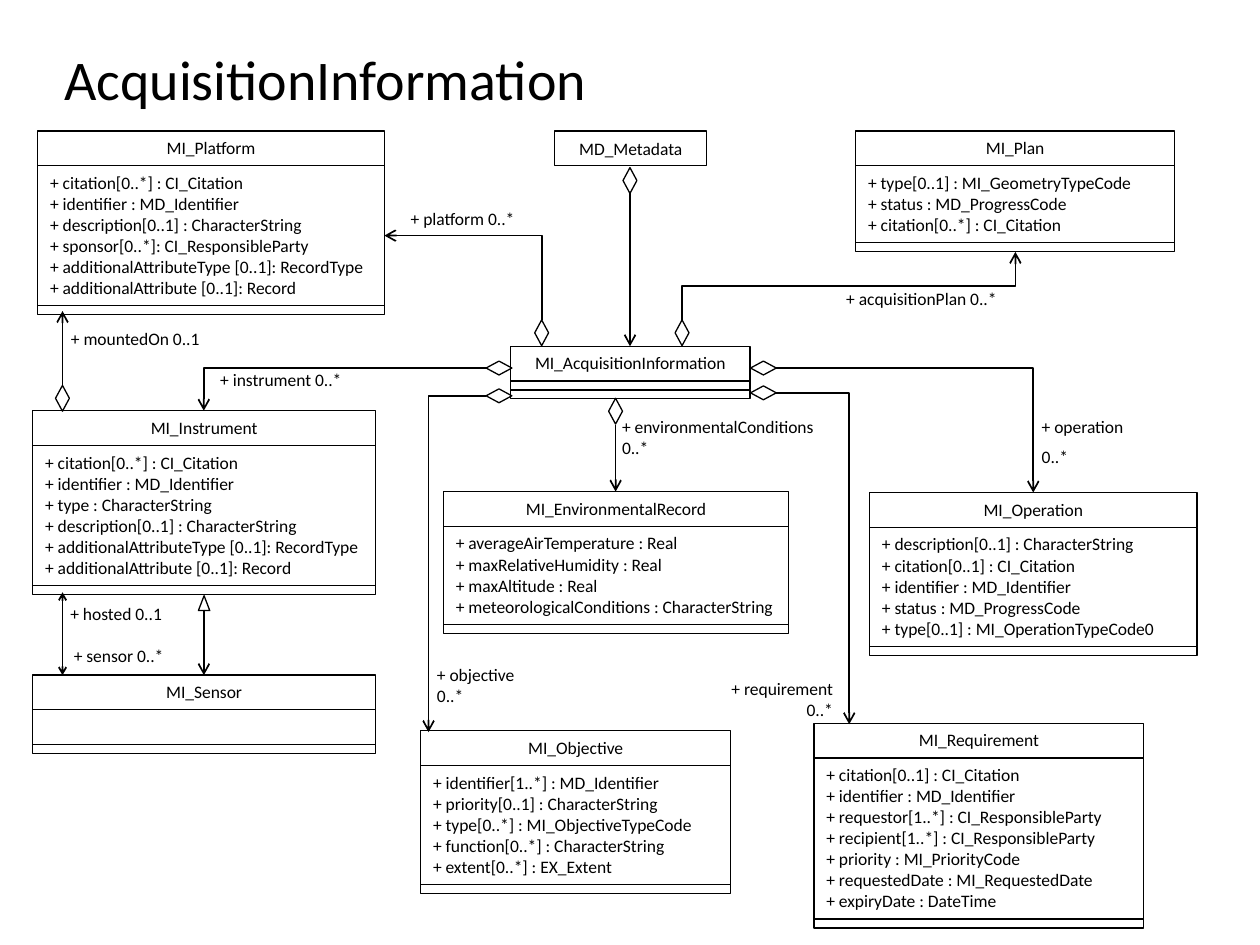
import pptx
import pptx.util
import pptx.dml.color
import pptx.enum.shapes
import pptx.enum.text
import pptx.oxml.ns
from lxml import etree

Cm = pptx.util.Cm
Pt = pptx.util.Pt
qn = pptx.oxml.ns.qn
SHAPE = pptx.enum.shapes.MSO_SHAPE
CONNECTOR = pptx.enum.shapes.MSO_CONNECTOR
ALIGN = pptx.enum.text.PP_ALIGN
ANCHOR = pptx.enum.text.MSO_ANCHOR

COLORS = {"ink": "000000"}
FONT = "Calibri"
NAME_H, FOOT_H = 0.7, 0.18
BODY_PAD, ROW_H = 0.28, 0.424
DIAMOND_LONG, DIAMOND_SHORT = 0.52, 0.28

# name, left, top, width, attributes
CLASSES = [
    ("MI_Platform", 0.76, 2.64, 6.99, [
        "+ citation[0..*] : CI_Citation", "+ identifier : MD_Identifier",
        "+ description[0..1] : CharacterString",
        "+ sponsor[0..*]: CI_ResponsibleParty",
        "+ additionalAttributeType [0..1]: RecordType",
        "+ additionalAttribute [0..1]: Record"]),
    ("MI_Instrument", 0.66, 8.28, 6.91, [
        "+ citation[0..*] : CI_Citation", "+ identifier : MD_Identifier",
        "+ type : CharacterString", "+ description[0..1] : CharacterString",
        "+ additionalAttributeType [0..1]: RecordType",
        "+ additionalAttribute [0..1]: Record"]),
    ("MI_EnvironmentalRecord", 8.94, 9.91, 6.96, [
        "+ averageAirTemperature : Real", "+ maxRelativeHumidity : Real",
        "+ maxAltitude : Real",
        "+ meteorologicalConditions : CharacterString"]),
    ("MI_Plan", 17.25, 2.64, 6.43, [
        "+ type[0..1] : MI_GeometryTypeCode", "+ status : MD_ProgressCode",
        "+ citation[0..*] : CI_Citation"]),
    ("MI_Operation", 17.53, 9.93, 6.6, [
        "+ description[0..1] : CharacterString",
        "+ citation[0..1] : CI_Citation", "+ identifier : MD_Identifier",
        "+ status : MD_ProgressCode", "+ type[0..1] : MI_OperationTypeCode0"]),
    ("MI_Objective", 8.48, 14.73, 6.25, [
        "+ identifier[1..*] : MD_Identifier",
        "+ priority[0..1] : CharacterString",
        "+ type[0..*] : MI_ObjectiveTypeCode",
        "+ function[0..*] : CharacterString", "+ extent[0..*] : EX_Extent"]),
    ("MI_Requirement", 16.41, 14.58, 6.65, [
        "+ citation[0..1] : CI_Citation", "+ identifier : MD_Identifier",
        "+ requestor[1..*] : CI_ResponsibleParty",
        "+ recipient[1..*] : CI_ResponsibleParty",
        "+ priority : MI_PriorityCode", "+ requestedDate : MI_RequestedDate",
        "+ expiryDate : DateTime"]),
]

# paragraphs, left, top, width, height, alignment, line spacing
ROLES = [
    (["+ platform 0..*"], 8.03, 4.06, 2.72, 0.69, ALIGN.LEFT, 1),
    (["+ acquisitionPlan 0..*"], 16.81, 5.69, 4.24, 0.69, ALIGN.LEFT, 1),
    (["+ instrument 0..*"], 4.19, 7.32, 3.25, 0.69, ALIGN.LEFT, 1),
    (["+ environmentalConditions\n0..*"], 12.29, 8.26, 5, 1.09, ALIGN.LEFT, 1),
    (["+ operation", "0..*"], 20.75, 8.26, 2.67, 1.32, ALIGN.LEFT, 1),
    (["+ objective\n0..*"], 8.56, 13.26, 2.77, 1.09, ALIGN.LEFT, 1),
    (["+ requirement\n0..*"], 14.27, 13.54, 2.77, 1.09, ALIGN.RIGHT, 1),
    (["+ sensor 0..*"], 1.24, 12.88, 2.67, 0.69, ALIGN.LEFT, 1),
    (["+ mountedOn 0..1"], 0.97, 6.48, 3.3, 0.69, ALIGN.RIGHT, 1),
    (["+ hosted 0..1"], 1.17, 12.14, 3.3, 0.58, ALIGN.LEFT, 0.7),
]

UPRIGHT_DIAMONDS = [(12.7, 3.38), (10.92, 6.45), (13.75, 6.45),
                    (12.41, 8.03), (1.26, 7.77)]  # centre x, top
FLAT_DIAMONDS = [(9.8, 7.42), (15.13, 7.42), (9.8, 7.98), (15.13, 7.92)]  # left, centre y

STRAIGHT_ARROWS = [
    ((12.7, 3.89), (12.7, 6.98)),    # metadata to acquisition
    ((12.41, 8.56), (12.41, 9.91)),  # environmental conditions
    ((4.11, 12.29), (4.11, 13.61)),  # instrument to sensor
    ((1.26, 7.77), (1.26, 6.27)),    # mounted on
]
CORNER_ARROWS = [
    ((9.8, 7.42), (4.11, 8.28)),     # instrument
    ((15.65, 7.42), (20.83, 9.93)),  # operation
    ((9.8, 7.98), (8.64, 14.76)),    # objective
    ((15.65, 7.92), (17.12, 14.6)),  # requirement
]


def ink():
    return pptx.dml.color.RGBColor.from_string(COLORS["ink"])


def write(frame, paragraphs, align=ALIGN.LEFT, size=10, spacing=None):
    """Fill a frame; a newline inside a paragraph becomes a line break."""
    for index, text in enumerate(paragraphs):
        paragraph = frame.add_paragraph() if index else frame.paragraphs[0]
        paragraph.alignment = align
        if spacing:
            paragraph.line_spacing = spacing
            if index:
                paragraph.space_before = Pt(size / 2)
        for row, part in enumerate(text.split("\n")):
            if row:
                paragraph.add_line_break()
            run = paragraph.add_run()
            run.text = part
            run.font.size = Pt(size)
            run.font.name = FONT
            run.font.color.rgb = ink()


def outline(shapes, kind, left, top, width, height):
    shape = shapes.add_shape(kind, Cm(left), Cm(top), Cm(width), Cm(height))
    shape.shadow.inherit = False
    shape.fill.background()
    shape.line.color.rgb = ink()
    shape.line.width = Pt(0.75)
    shape.text_frame.vertical_anchor = ANCHOR.TOP
    return shape


def class_box(slide, name, left, top, width, attributes, body_height=None):
    """Stack name, attribute and operation compartments in one group."""
    if body_height is None:
        body_height = BODY_PAD + ROW_H * max(len(attributes), 1)
    shapes = slide.shapes.add_group_shape().shapes
    heading = outline(shapes, SHAPE.RECTANGLE, left, top, width, NAME_H)
    write(heading.text_frame, [name], ALIGN.CENTER)
    body_top = top + NAME_H
    body = outline(shapes, SHAPE.RECTANGLE, left, body_top, width, body_height)
    write(body.text_frame, attributes)
    outline(shapes, SHAPE.RECTANGLE, left, body_top + body_height, width, FOOT_H)


def role_label(slide, paragraphs, left, top, width, height, align, spacing):
    label = slide.shapes.add_textbox(Cm(left), Cm(top), Cm(width), Cm(height))
    label.text_frame.word_wrap = True
    write(label.text_frame, paragraphs, align, spacing=spacing)


def arrow(slide, start, end, kind=CONNECTOR.STRAIGHT, ends=("tailEnd",), size="med"):
    line = slide.shapes.add_connector(kind, *(Cm(v) for v in (*start, *end)))
    line.line.color.rgb = ink()
    line.line.width = Pt(1)
    properties = line._element.spPr
    stroke = properties.find(qn("a:ln"))
    for name in ends:
        etree.SubElement(stroke, qn("a:" + name), type="arrow", w=size, len=size)
    etree.SubElement(properties, qn("a:effectLst"))
    return properties


def corner_arrow(slide, start, end, ends=("tailEnd",)):
    """One bend: horizontal from start, then vertical to end."""
    properties = arrow(slide, start, end, CONNECTOR.ELBOW, ends)
    properties.find(qn("a:prstGeom")).set("prst", "bentConnector2")


def step_arrow(slide, start, end):
    """Two bends: vertical, horizontal, vertical, by a quarter turn."""
    mid_x, mid_y = (start[0] + end[0]) / 2, (start[1] + end[1]) / 2
    turned = [(mid_x + y - mid_y, mid_y - x + mid_x) for x, y in (start, end)]
    properties = arrow(slide, *turned, CONNECTOR.ELBOW)
    properties.find(qn("a:xfrm")).set("rot", "5400000")


def main():
    deck = pptx.Presentation()
    deck.slide_width, deck.slide_height = Cm(25.4), Cm(19.05)
    slide = deck.slides.add_slide(deck.slide_layouts[5])

    title = slide.shapes.title
    title.left, title.top, title.width, title.height = (
        Cm(1.04), Cm(1.12), Cm(12.22), Cm(0.89))
    title.text_frame.vertical_anchor = ANCHOR.MIDDLE
    write(title.text_frame, ["AcquisitionInformation"], size=32)

    metadata = outline(slide.shapes, SHAPE.RECTANGLE, 11.18, 2.64, 3.07, NAME_H)
    metadata.text_frame.word_wrap = False
    metadata.text_frame.vertical_anchor = ANCHOR.MIDDLE
    write(metadata.text_frame, ["MD_Metadata"], ALIGN.CENTER)

    for entry in CLASSES:
        class_box(slide, *entry)
    class_box(slide, "MI_AcquisitionInformation", 10.29, 6.98, 4.83, [], FOOT_H)
    class_box(slide, "MI_Sensor", 0.66, 13.61, 6.91, [])

    for center, top in UPRIGHT_DIAMONDS:
        outline(slide.shapes, SHAPE.DIAMOND, center - DIAMOND_SHORT / 2, top,
                DIAMOND_SHORT, DIAMOND_LONG)
    for left, center in FLAT_DIAMONDS:
        outline(slide.shapes, SHAPE.DIAMOND, left, center - DIAMOND_SHORT / 2,
                DIAMOND_LONG, DIAMOND_SHORT)
    outline(slide.shapes, SHAPE.ISOSCELES_TRIANGLE, 4.0, 12.01, 0.23, 0.3)

    for start, end in STRAIGHT_ARROWS:
        arrow(slide, start, end)
    arrow(slide, (1.26, 13.61), (1.26, 11.94), ends=("headEnd", "tailEnd"), size="sm")
    for start, end in CORNER_ARROWS:
        corner_arrow(slide, start, end)
    corner_arrow(slide, (7.75, 4.75), (10.92, 6.45), ends=("headEnd",))
    step_arrow(slide, (13.75, 6.45), (20.47, 5.08))

    for role in ROLES:
        role_label(slide, *role)
    deck.save("out.pptx")


if __name__ == "__main__":
    main()
